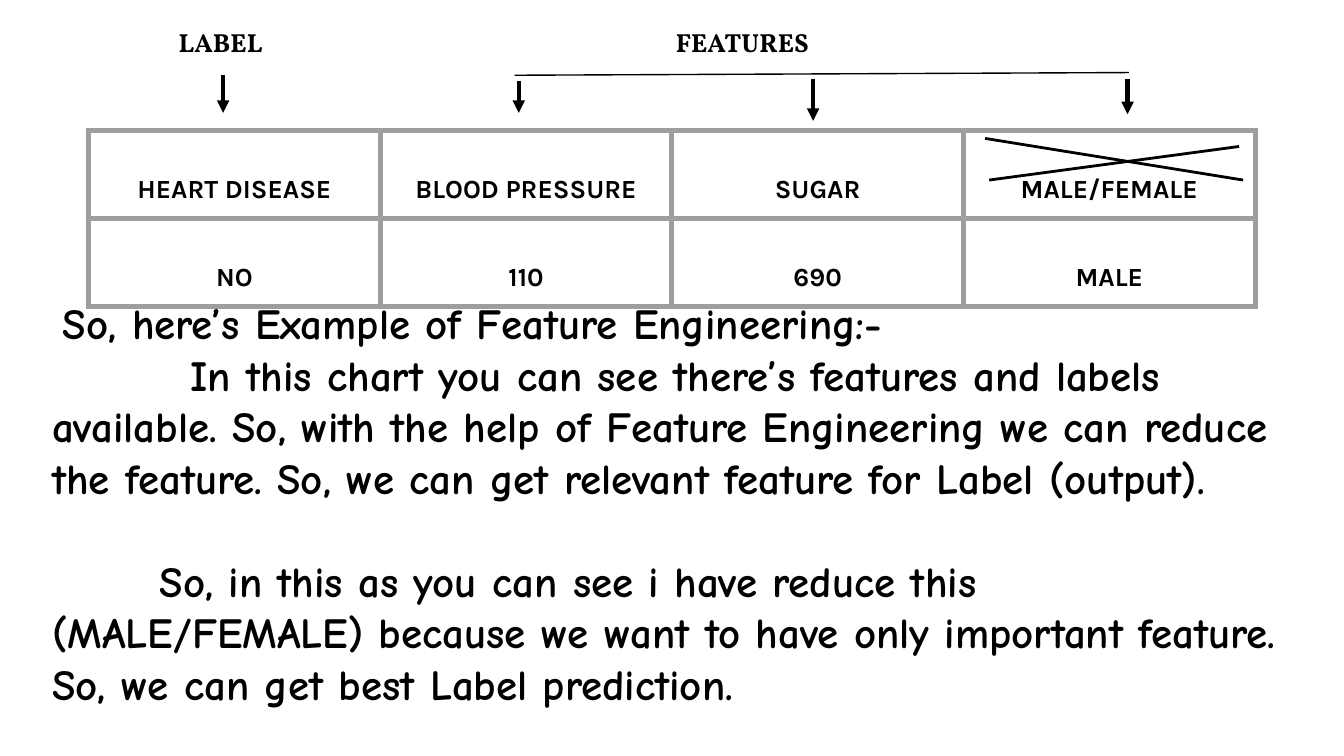
from lxml.etree import SubElement
from pptx import Presentation
from pptx.dml.color import RGBColor
from pptx.enum.shapes import MSO_CONNECTOR
from pptx.enum.text import PP_ALIGN
from pptx.oxml.ns import qn
from pptx.util import Inches, Pt

BLACK = RGBColor(0x00, 0x00, 0x00)
GRAY = RGBColor(0x9E, 0x9E, 0x9E)

# Content
ROWS = [
    ["HEART DISEASE", "BLOOD PRESSURE", "SUGAR", "MALE/FEMALE"],
    ["NO", "110", "690", "MALE"],
]
HEADINGS = [("LABEL", 0.39), ("FEATURES", 4.09)]  # text, tab stop
BODY = [  # text, first-line indent in inches, space before in points
    ("So, here’s Example of Feature Engineering:-", 0.08, 0),
    ("In this chart you can see there’s features and labels available. "
     "So, with the help of Feature Engineering we can reduce the feature. "
     "So, we can get relevant feature for Label (output).", 1.03, 0),
    ("So, in this as you can see i have reduce this (MALE/FEMALE) because "
     "we want to have only important feature. "
     "So, we can get best Label prediction.", 0.8, 27.5),
]
ARROWS = [(1.66, 0.56, 0.84), (3.86, 0.6, 0.84),  # x, top, bottom
          (6.05, 0.59, 0.9), (8.39, 0.59, 0.85)]
BRACKET = (3.83, 0.56, 8.4, 0.54)
CROSS = [(7.33, 1.03, 9.25, 1.34), (7.36, 1.34, 9.22, 1.09)]

TABLE_LEFT, TABLE_TOP, COL_WIDTH, ROW_HEIGHT = 0.66, 0.97, 2.17, 0.65


def write(p, text, font, size, align=None, spacing=None, before=0, indent=0, tabs=()):
    pPr = p._p.get_or_add_pPr()
    if indent:
        pPr.set("indent", str(Inches(indent)))
    if align is not None:
        p.alignment = align
    if spacing:
        p.line_spacing = spacing
    if before:
        p.space_before = Pt(before)
    if tabs:
        tab_list = SubElement(pPr, qn("a:tabLst"))
        for pos in tabs:
            SubElement(tab_list, qn("a:tab"), pos=str(Inches(pos)), algn="l")
    r = p.add_run()
    r.text = text
    r.font.name, r.font.size, r.font.bold = font, Pt(size), True
    r.font.color.rgb = BLACK


def add_box(s, left, top, width, height):
    tf = s.shapes.add_textbox(*map(Inches, (left, top, width, height))).text_frame
    tf.word_wrap = True
    tf.margin_left = tf.margin_right = tf.margin_top = tf.margin_bottom = Inches(0.1)
    return tf


def add_line(s, x1, y1, x2, y2, width, arrow=False):
    line = s.shapes.add_connector(MSO_CONNECTOR.STRAIGHT,
                                  *map(Inches, (x1, y1, x2, y2)))
    line.line.color.rgb = BLACK
    line.line.width = Pt(width)
    if arrow:
        SubElement(line.line._get_or_add_ln(), qn("a:tailEnd"), type="triangle")
    SubElement(line._element.spPr, qn("a:effectLst"))


def style_cell(cell):
    cell.margin_left = cell.margin_right = Inches(0.1)
    cell.margin_top = cell.margin_bottom = Inches(0.1)
    tcPr = cell._tc.get_or_add_tcPr()
    for side in ("lnL", "lnR", "lnT", "lnB"):
        ln = SubElement(tcPr, qn(f"a:{side}"), w=str(Pt(3)))
        fill = SubElement(ln, qn("a:solidFill"))
        SubElement(fill, qn("a:srgbClr"), val=str(GRAY))
    cell.fill.background()


# Widescreen slide, 16:9
prs = Presentation()
prs.slide_width = Inches(10)
prs.slide_height = Inches(10) * 9 // 16
s = prs.slides.add_slide(prs.slide_layouts[6])

# Data table
n_rows, n_cols = len(ROWS), len(ROWS[0])
table = s.shapes.add_table(n_rows, n_cols, Inches(TABLE_LEFT), Inches(TABLE_TOP),
                           Inches(n_cols * COL_WIDTH),
                           Inches(n_rows * ROW_HEIGHT)).table
table.first_row = table.horz_banding = False
for col in table.columns:
    col.width = Inches(COL_WIDTH)
for i, values in enumerate(ROWS):
    table.rows[i].height = Inches(ROW_HEIGHT)
    for j, text in enumerate(values):
        cell = table.cell(i, j)
        style_cell(cell)
        write(cell.text_frame.paragraphs[0], text, "Karla", 14,
              align=PP_ALIGN.CENTER, spacing=2.0)

# Headings above the table
tf = add_box(s, 0.84, 0.1, 8.46, 0.44)
write(tf.paragraphs[0], "".join("\t" + text for text, _ in HEADINGS),
      "Vollkorn", 14, tabs=[pos for _, pos in HEADINGS])

# Arrows to the columns and the line that joins the features
for x, top, bottom in ARROWS:
    add_line(s, x, top, x, bottom, 2.25, arrow=True)
add_line(s, *BRACKET, 0.75)

# Explanation
tf = add_box(s, 0.29, 2.11, 9.4, 3.26)
for i, (text, indent, before) in enumerate(BODY):
    p = tf.add_paragraph() if i else tf.paragraphs[0]
    write(p, text, "Comic Neue", 23, indent=indent, before=before)

# Cross over the removed feature
for ends in CROSS:
    add_line(s, *ends, 1.5)

prs.save("out.pptx")
